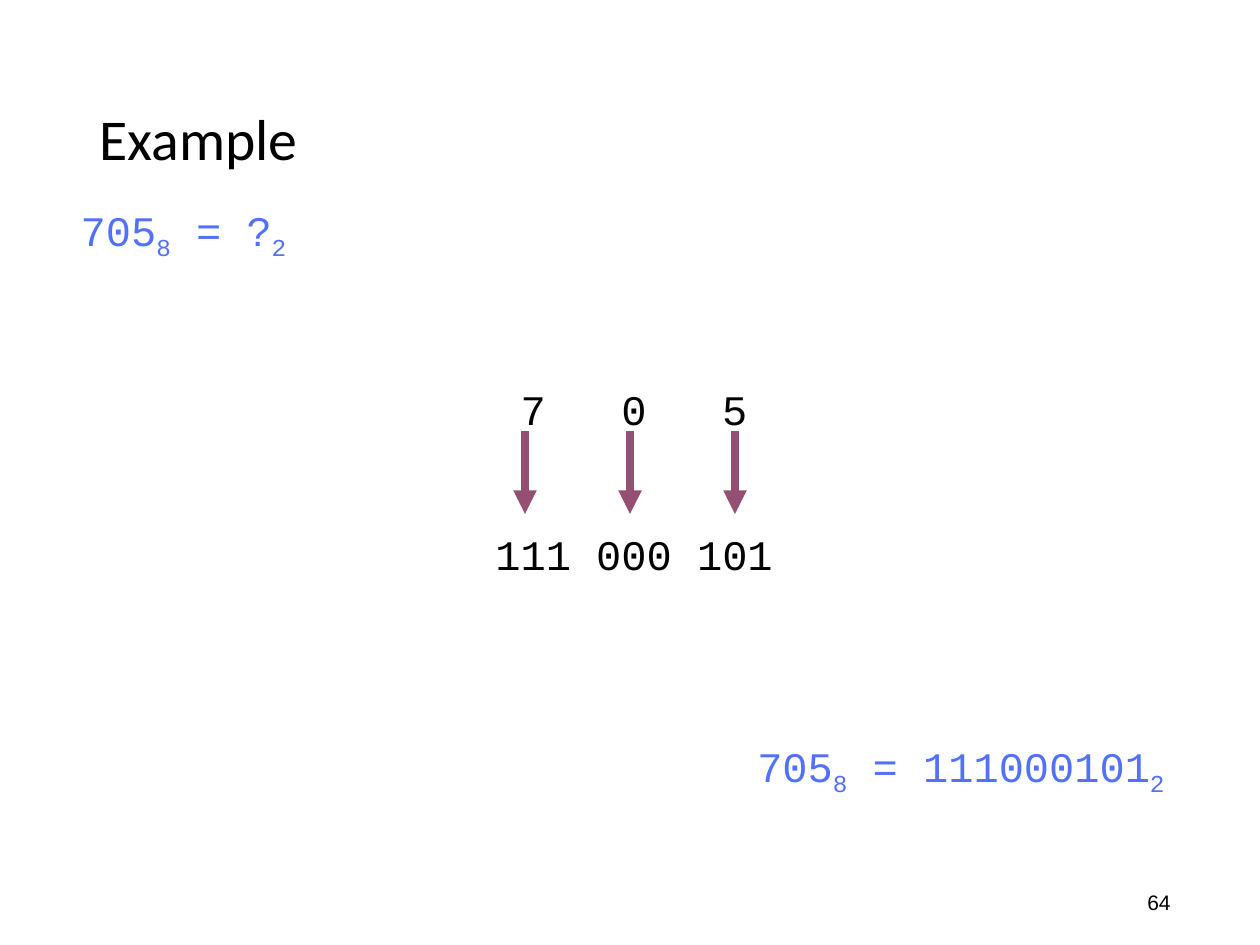
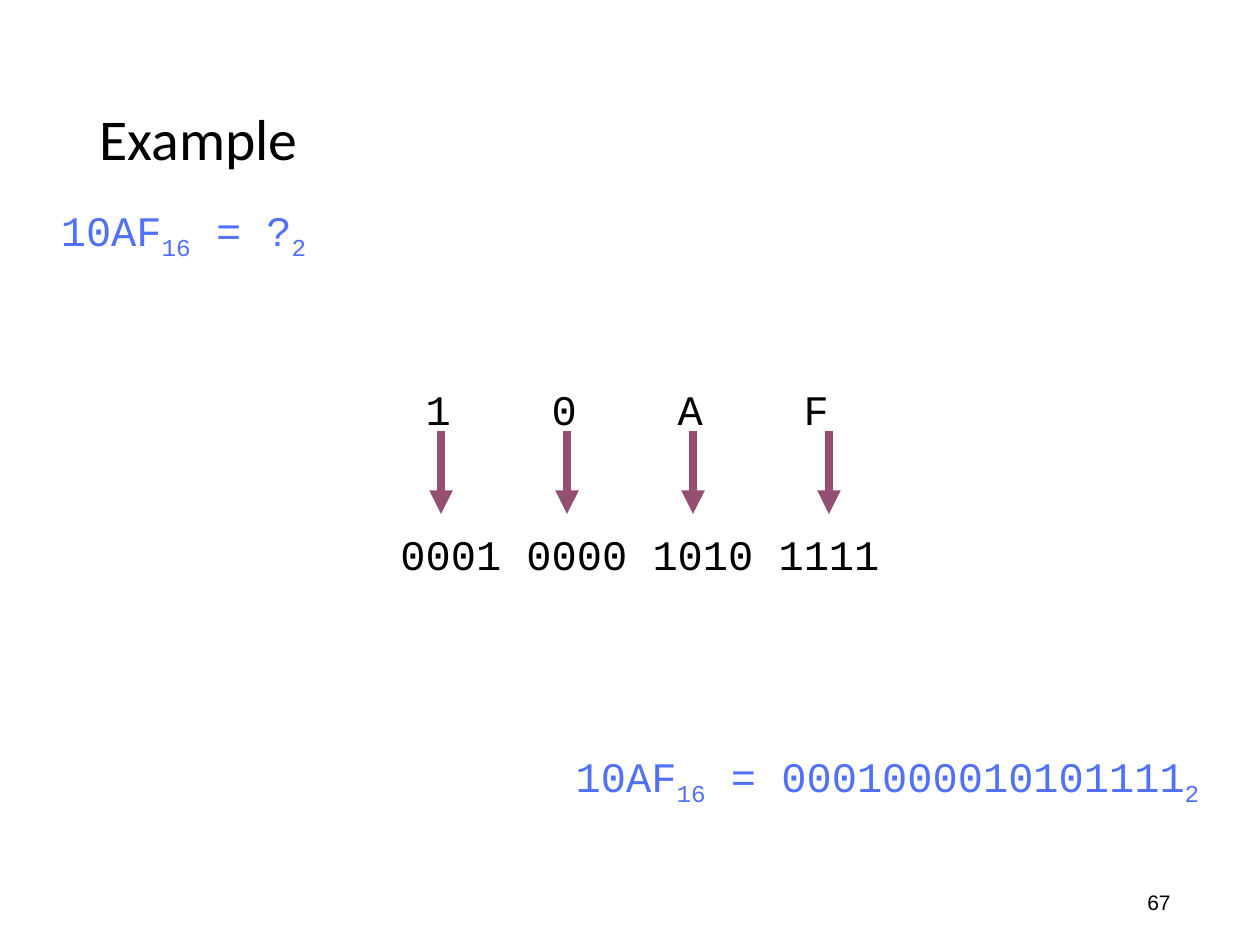
from lxml import etree
from pptx import Presentation
from pptx.dml.color import RGBColor
from pptx.enum.shapes import MSO_CONNECTOR
from pptx.enum.text import MSO_ANCHOR, PP_ALIGN
from pptx.oxml.ns import qn
from pptx.util import Emu, Pt

STRAIGHT = MSO_CONNECTOR.STRAIGHT
MIDDLE = MSO_ANCHOR.MIDDLE
CENTER = PP_ALIGN.CENTER

COLORS = {"text": "000000", "equation": "5271FB", "arrow": "954F72"}
PX_PER_INCH = 126
CHAR_WIDTH = 25.2  # one 24 pt Courier New character, in px
ARROW_TOP, ARROW_BOTTOM = 431, 514


def px(n):
    return Emu(round(n * 914400 / PX_PER_INCH))


def rgb(name):
    return RGBColor.from_string(COLORS[name])


def add_text_frame(slide, left, top, width, height, wrap=True):
    tf = slide.shapes.add_textbox(px(left), px(top), px(width), px(height)).text_frame
    tf.word_wrap = wrap
    return tf


def style(p, font, size, color="text"):
    p.font.name = font
    p.font.size = Pt(size)
    p.font.color.rgb = rgb(color)


def add_title(slide, text):
    tf = add_text_frame(slide, 87, 50, 1086, 183)
    tf.vertical_anchor = MIDDLE
    p = tf.paragraphs[0]
    p.text = text
    p.line_spacing = 0.9
    style(p, "Calibri", 33)


def add_page_number(slide, number):
    p = add_text_frame(slide, 1135, 883, 50, 38, wrap=False).paragraphs[0]
    p.text = str(number)
    style(p, "Arial", 12)


def add_equation(slide, left, top, width, number, base, result):
    """Write number = result, with the base of each side as a subscript."""
    p = add_text_frame(slide, left, top, width, 63).paragraphs[0]
    p.alignment = CENTER
    style(p, "Courier New", 24, "equation")
    for text, is_base in ((number, False), (base, True), (f" = {result}", False), ("2", True)):
        r = p.add_run()
        r.text = text
        style(r, "Courier New", 24, "equation")
        if is_base:
            r.font._element.set("baseline", "-25000")


def add_tab_stops(p, positions):
    tabs = etree.SubElement(p._p.get_or_add_pPr(), qn("a:tabLst"))
    for position in positions:
        etree.SubElement(tabs, qn("a:tab"), pos=str(px(position)), algn="l")


def add_digit_groups(slide, left, width, digits, groups):
    """Write each digit above the group of bits that it stands for."""
    tf = add_text_frame(slide, left, 377, width, 214)
    pitch = (len(groups[0]) + 1) * CHAR_WIDTH
    p = tf.paragraphs[0]
    p.text = "".join(f"\t{digit}" for digit in digits)
    add_tab_stops(p, [CHAR_WIDTH + i * pitch for i in range(len(digits))])
    style(p, "Courier New", 24)
    p = tf.add_paragraph()
    p.text = " ".join(groups)
    p.space_before = Pt(54.5)
    style(p, "Courier New", 24)


def add_down_arrow(slide, x):
    cxn = slide.shapes.add_connector(STRAIGHT, px(x), px(ARROW_TOP), px(x), px(ARROW_BOTTOM))
    cxn.line.color.rgb = rgb("arrow")
    cxn.line.width = Pt(4.5)
    etree.SubElement(cxn.line._get_or_add_ln(), qn("a:tailEnd"), type="triangle")
    etree.SubElement(cxn._element.spPr, qn("a:effectLst"))


def add_example(prs, page, number, base, groups, digits_box, arrows, answer_box):
    slide = prs.slides.add_slide(prs.slide_layouts[6])
    add_page_number(slide, page)
    add_title(slide, "Example")
    add_equation(slide, 42, 198, 283, number, base, "?")
    add_digit_groups(slide, *digits_box, number, groups)
    for x in arrows:
        add_down_arrow(slide, x)
    add_equation(slide, *answer_box, number, base, "".join(groups))


def main():
    prs = Presentation()
    prs.slide_width, prs.slide_height = px(1260), px(945)
    add_example(prs, 64, "705", "8", ["111", "000", "101"],
                (483, 368), (525, 630, 735), (714, 734, 494))
    add_example(prs, 67, "10AF", "16", ["0001", "0000", "1010", "1111"],
                (388, 525), (441, 567, 693, 829), (557, 744, 661))
    prs.save("out.pptx")


if __name__ == "__main__":
    main()
